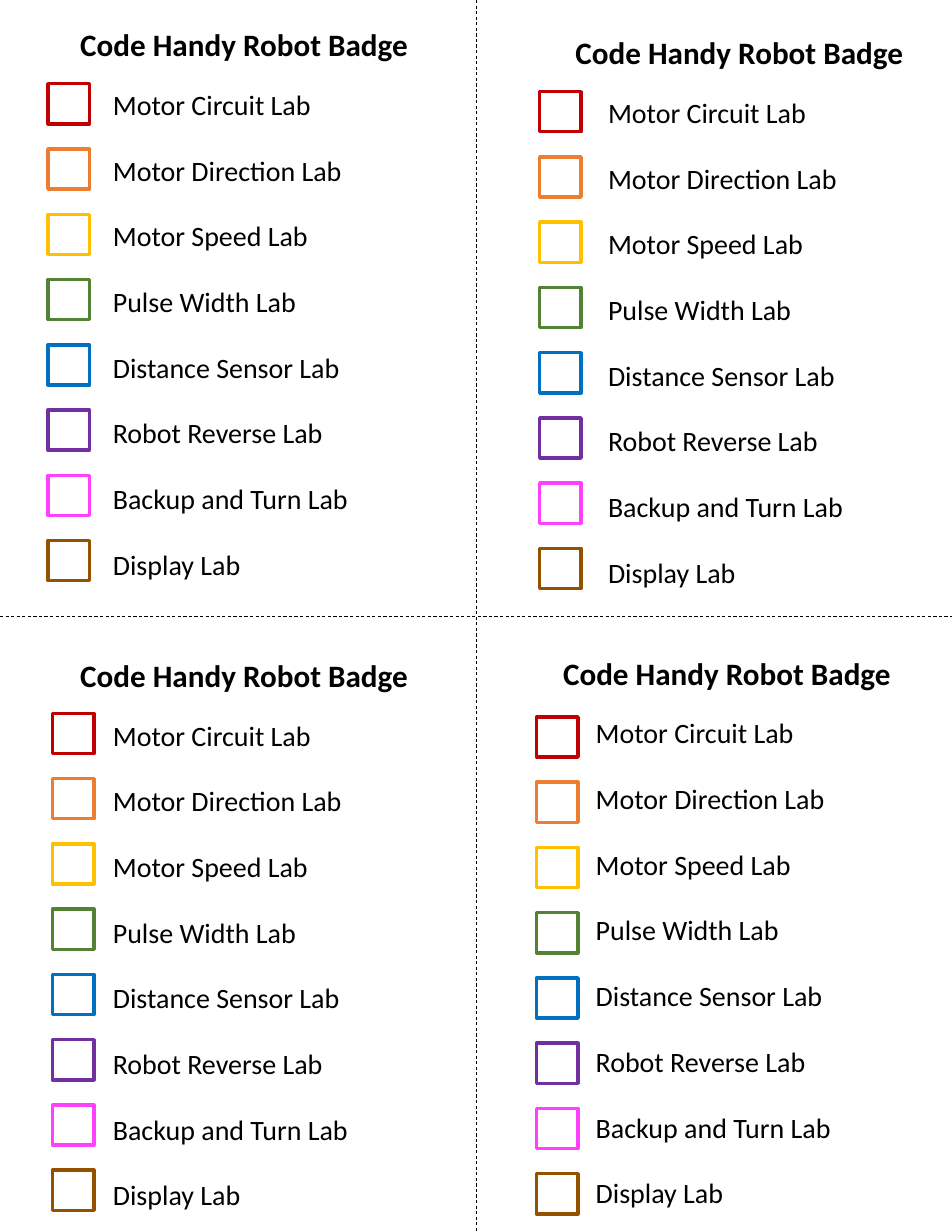
import pptx
import pptx.util
import pptx.dml.color
import pptx.enum.dml
import pptx.enum.shapes
import pptx.enum.text
import lxml.etree
from dataclasses import dataclass

Cm = pptx.util.Cm
Pt = pptx.util.Pt


@dataclass(frozen=True)
class Theme:
    font: str = "Calibri"
    ink: str = "000000"
    title_size: float = 20
    label_size: float = 18
    cut_width: float = 0.5
    box_width: float = 2.25


def rgb(value):
    return pptx.dml.color.RGBColor.from_string(value)


def write(tf, text, *, font, size, color, bold=False, wrap=True):
    """Put one formatted line of text into a text frame."""
    tf.word_wrap = wrap
    tf.auto_size = pptx.enum.text.MSO_AUTO_SIZE.SHAPE_TO_FIT_TEXT
    r = tf.paragraphs[0].add_run()
    r.text = text
    r.font.name = font
    r.font.size = Pt(size)
    r.font.bold = bold
    r.font.color.rgb = rgb(color)


class Sheet:
    """Holds the style and the current slide."""

    def __init__(self, s, theme):
        self.s = s
        self.theme = theme

    def cut_line(self, x1, y1, x2, y2):
        sp = self.s.shapes.add_connector(
            pptx.enum.shapes.MSO_CONNECTOR.STRAIGHT, Cm(x1), Cm(y1), Cm(x2), Cm(y2))
        sp.line.color.rgb = rgb(self.theme.ink)
        sp.line.width = Pt(self.theme.cut_width)
        sp.line.dash_style = pptx.enum.dml.MSO_LINE.DASH
        lxml.etree.SubElement(sp.element.spPr, pptx.oxml.ns.qn("a:effectLst"))

    def text(self, x, y, w, h, text, size, **style):
        sp = self.s.shapes.add_textbox(Cm(x), Cm(y), Cm(w), Cm(h))
        write(sp.text_frame, text, font=self.theme.font, size=size,
              color=self.theme.ink, **style)

    def checkbox(self, group, x, y, color):
        sp = group.shapes.add_shape(
            pptx.enum.shapes.MSO_SHAPE.RECTANGLE, Cm(x), Cm(y), Cm(0.94), Cm(0.91))
        sp.shadow.inherit = False
        sp.fill.background()
        sp.line.color.rgb = rgb(color)
        sp.line.width = Pt(self.theme.box_width)

    def badge(self, title_at, boxes_at, title, labs):
        x, y = title_at
        self.text(x, y, 7.95, 1.12, title, self.theme.title_size, bold=True)
        for i, (lab, _, width) in enumerate(labs):
            self.text(x + 0.74, y + 1.4 + i * LABEL_PITCH, width, 1.03, lab,
                      self.theme.label_size, wrap=False)
        group = self.s.shapes.add_group_shape()
        x, y = boxes_at
        for i, (_, color, _) in enumerate(labs):
            self.checkbox(group, x, y + i * BOX_PITCH, color)


# Page
PAGE_W, PAGE_H = 21.59, 27.94
LABEL_PITCH, BOX_PITCH = 1.49, 1.48

# Lab name, box colour, label width
LABS = [
    ("Motor Circuit Lab", "C00000", 5.05),
    ("Motor Direction Lab", "ED7D31", 5.77),
    ("Motor Speed Lab", "FFC000", 4.98),
    ("Pulse Width Lab", "548235", 4.72),
    ("Distance Sensor Lab", "0070C0", 5.72),
    ("Robot Reverse Lab", "7030A0", 5.33),
    ("Backup and Turn Lab", "FF40FF", 5.92),
    ("Display Lab", "945200", 3.43),
]

# Top-left corners of the title and of the box column on each badge
BADGES = [
    ((1.57, 0.46), (1.09, 1.9)),
    ((12.8, 0.64), (12.24, 2.08)),
    ((1.57, 14.76), (1.19, 16.18)),
    ((12.52, 14.71), (12.17, 16.26)),
]

prs = pptx.Presentation()
prs.slide_width, prs.slide_height = Cm(PAGE_W), Cm(PAGE_H)
sheet = Sheet(prs.slides.add_slide(prs.slide_layouts[6]), Theme())

# Cut lines
sheet.cut_line(PAGE_W / 2, 0, PAGE_W / 2, PAGE_H)
sheet.cut_line(0, PAGE_H / 2, PAGE_W, PAGE_H / 2)

# Four badges
for title_at, boxes_at in BADGES:
    sheet.badge(title_at, boxes_at, "Code Handy Robot Badge", LABS)

prs.save("out.pptx")
